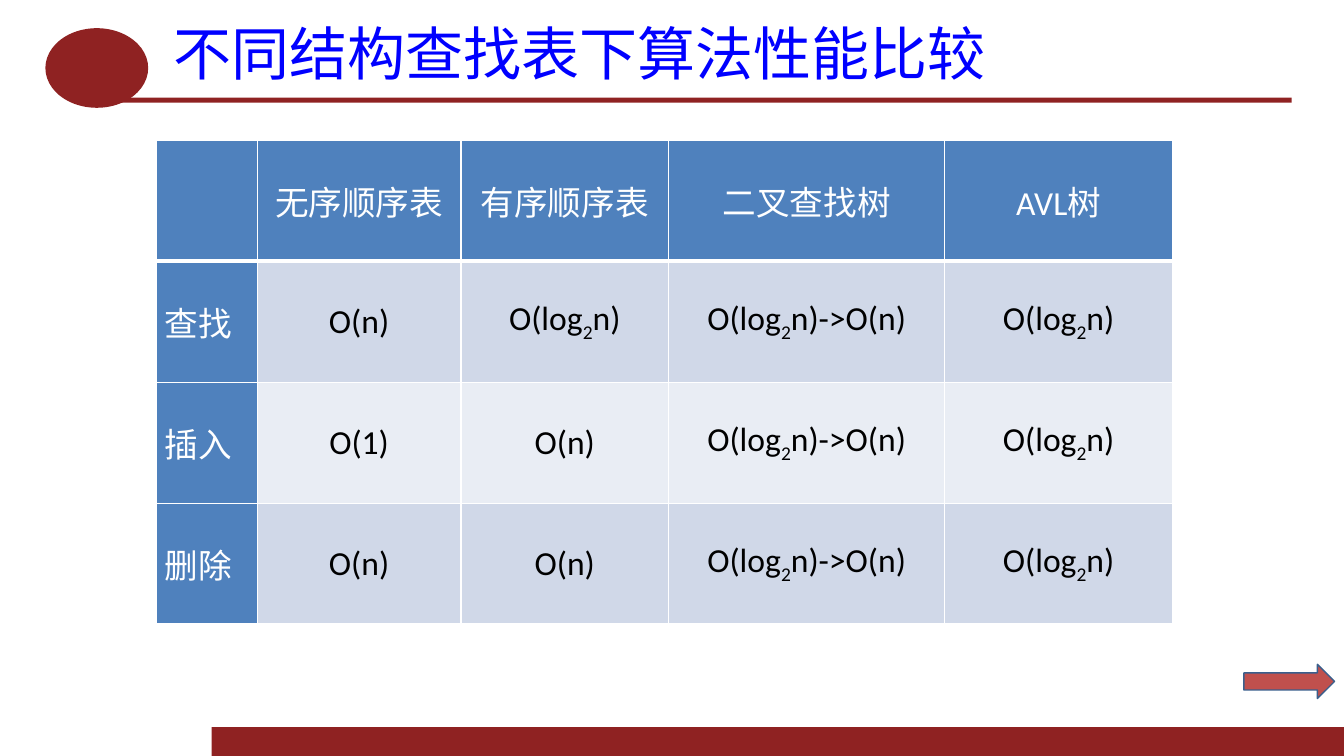
"""Build a slide comparing search table performance across data structures."""
from lxml.etree import SubElement
from pptx import Presentation
from pptx.dml.color import RGBColor
from pptx.enum.shapes import MSO_SHAPE as Shape
from pptx.enum.text import MSO_ANCHOR as Anchor, MSO_AUTO_SIZE as AutoSize, PP_ALIGN as Align
from pptx.oxml.ns import qn
from pptx.util import Inches, Pt

COLORS = {
    "maroon": "8F2222",
    "title": "0000FF",
    "header": "4F81BD",
    "odd": "D0D8E8",
    "even": "E9EDF4",
    "arrow": "C0504D",
    "arrow_line": "3A5F8C",
    "white": "FFFFFF",
    "black": "000000",
}
LATIN, CHINESE = "Calibri", "Noto Sans CJK SC"

LOG = "O(log_2_n)"
TREE = "O(log_2_n)->O(n)"
COMPLEXITIES = [
    ["", "无序顺序表", "有序顺序表", "二叉查找树", "AVL树"],
    ["查找", "O(n)", LOG, TREE, LOG],
    ["插入", "O(1)", "O(n)", TREE, LOG],
    ["删除", "O(n)", "O(n)", TREE, LOG],
]
COLUMN_SHARES = [7.5, 15.15, 15.45, 20.55, 16.95]
ROW_SHARE = 16


def rgb(name):
    return RGBColor.from_string(COLORS[name])


class SlideBuilder:
    """Draws styled elements placed in percent of the slide's size."""

    def __init__(self, deck):
        self.deck = deck
        self.page = deck.slides.add_slide(deck.slide_layouts[5])

    def across(self, share):
        return round(self.deck.slide_width * share / 100)

    def down(self, share):
        return round(self.deck.slide_height * share / 100)

    def area(self, left, top, width, height):
        return self.across(left), self.down(top), self.across(width), self.down(height)

    def shape(self, kind, place, fill, line=None):
        shape = self.page.shapes.add_shape(kind, *self.area(*place))
        shape.shadow.inherit = False
        shape.fill.solid()
        shape.fill.fore_color.rgb = rgb(fill)
        if line:
            shape.line.color.rgb = rgb(line)
            shape.line.width = Pt(1)
        else:
            shape.line.fill.background()

    def text(self, para, words, size, color, align, latin=LATIN):
        para.alignment = align
        para.font.size = Pt(size)
        para.font.name = latin
        para.font.color.rgb = rgb(color)
        for index, part in enumerate(words.split("_")):
            span = para.add_run()
            span.text = part
            properties = span._r.get_or_add_rPr()
            SubElement(properties, qn("a:ea"), typeface=CHINESE)
            if index % 2:
                properties.set("baseline", "-25000")

    def title(self, words, place):
        box = self.page.shapes.title
        box.left, box.top, box.width, box.height = self.area(*place)
        frame = box.text_frame
        frame.word_wrap = True
        frame.auto_size = AutoSize.NONE
        frame.vertical_anchor = Anchor.MIDDLE
        para = frame.paragraphs[0]
        para.line_spacing = 0.9
        self.text(para, words, 41.4, "title", Align.JUSTIFY, CHINESE)

    def borders(self, cell, bottom):
        properties = cell._tc.get_or_add_tcPr()
        for side, points in {"L": 1, "R": 1, "T": 1, "B": bottom}.items():
            line = SubElement(properties, qn(f"a:ln{side}"), w=str(Pt(points)))
            fill = SubElement(line, qn("a:solidFill"))
            SubElement(fill, qn("a:srgbClr"), val=COLORS["white"])

    def cell(self, cell, words, row, column):
        heading = row == 0 or column == 0
        self.borders(cell, 3 if row == 0 else 1)
        cell.fill.solid()
        cell.fill.fore_color.rgb = rgb("header" if heading else "odd" if row % 2 else "even")
        cell.vertical_anchor = Anchor.MIDDLE
        cell.margin_left = cell.margin_right = Inches(0.08)
        cell.margin_top = cell.margin_bottom = 0
        if words:
            align = Align.CENTER if column else Align.JUSTIFY
            color = "white" if heading else "black"
            self.text(cell.text_frame.paragraphs[0], words, 24, color, align)

    def table(self, rows, left, top):
        place = self.area(left, top, sum(COLUMN_SHARES), ROW_SHARE * len(rows))
        table = self.page.shapes.add_table(len(rows), len(COLUMN_SHARES), *place).table
        table.first_row = table.horz_banding = False
        for column, share in zip(table.columns, COLUMN_SHARES):
            column.width = self.across(share)
        for row, texts in enumerate(rows):
            table.rows[row].height = self.down(ROW_SHARE)
            for column, words in enumerate(texts):
                self.cell(table.cell(row, column), words, row, column)


def main():
    deck = Presentation()
    deck.slide_width, deck.slide_height = Inches(13.33), Inches(7.5)
    slide = SlideBuilder(deck)
    slide.shape(Shape.RECTANGLE, (15.75, 96.2, 84.25, 3.8), "maroon")
    slide.shape(Shape.RECTANGLE, (8.85, 12.93, 87.25, 0.67), "maroon")
    slide.shape(Shape.OVAL, (3.38, 3.73, 7.65, 10.53), "maroon")
    slide.title("不同结构查找表下算法性能比较", (12.15, 2.8, 83.95, 9.47))
    slide.table(COMPLEXITIES, 11.65, 18.55)
    slide.shape(Shape.RIGHT_ARROW, (92.55, 87.87, 6.75, 4.53), "arrow", "arrow_line")
    deck.save("out.pptx")


if __name__ == "__main__":
    main()
